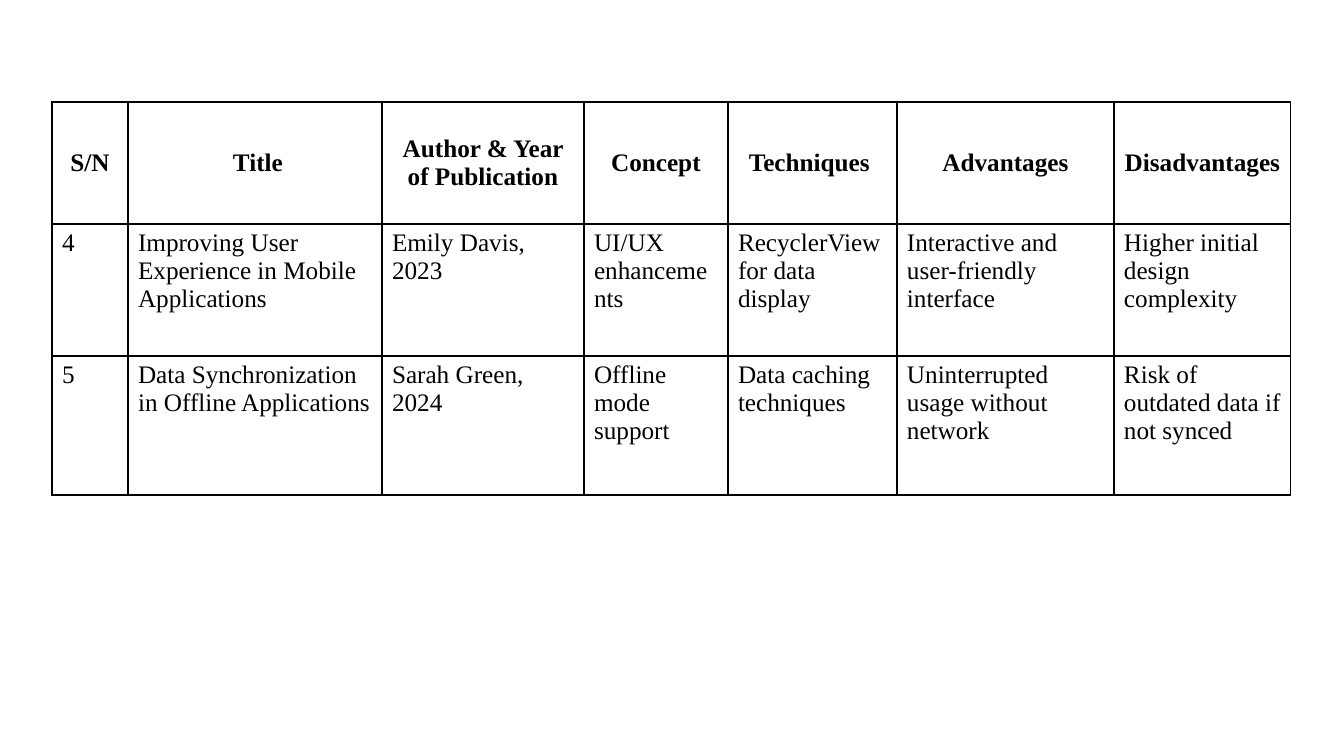
from lxml.etree import SubElement
from pptx import Presentation
from pptx.dml.color import RGBColor
from pptx.enum.text import MSO_ANCHOR, PP_ALIGN
from pptx.oxml.ns import qn
from pptx.util import Emu, Pt

HEADERS = ["S/N", " Title", "Author & Year of Publication", "Concept",
           "Techniques ", "Advantages", "Disadvantages"]
STUDIES = [
    ["4", "Improving User Experience in Mobile Applications", "Emily Davis, 2023",
     "UI/UX enhancements", "RecyclerView for data display",
     "Interactive and user-friendly interface", "Higher initial design complexity"],
    ["5", "Data Synchronization in Offline Applications", "Sarah Green, 2024",
     "Offline mode support", "Data caching techniques",
     "Uninterrupted usage without network", "Risk of outdated data if not synced"],
]
COL_WIDTHS = [76, 254, 202, 144, 169, 217, 177]
ROW_HEIGHTS = [122, 132, 139]


def px(n):
    return Emu(round(n * 12192000 / 1344))


def color(value):
    return RGBColor.from_string(value)


class SlideBuilder:
    """Holds the text style and the current slide, and adds elements to it."""

    font = "Times New Roman"
    size = Pt(18)
    ink = "000000"
    paper = "FFFFFF"

    def __init__(self, slide):
        self.slide = slide

    def table(self, x, y, widths, heights, rows):
        frame = self.slide.shapes.add_table(
            len(rows), len(widths), px(x), px(y), px(sum(widths)), px(sum(heights)))
        table = frame.table
        table.horz_banding = False
        for col, width in zip(table.columns, widths):
            col.width = px(width)
        for row, height in zip(table.rows, heights):
            row.height = px(height)
        for i, texts in enumerate(rows):
            for j, text in enumerate(texts):
                self.cell(table.cell(i, j), text, header=i == 0)

    def cell(self, cell, text, header):
        self.borders(cell)
        cell.fill.solid()
        cell.fill.fore_color.rgb = color(self.paper)
        cell.vertical_anchor = MSO_ANCHOR.MIDDLE if header else MSO_ANCHOR.TOP
        p = cell.text_frame.paragraphs[0]
        p.alignment = PP_ALIGN.CENTER if header else PP_ALIGN.LEFT
        r = p.add_run()
        r.text = text
        r.font.name = self.font
        r.font.size = self.size
        r.font.bold = header
        r.font.color.rgb = color(self.ink)

    def borders(self, cell):
        tc_pr = cell._tc.get_or_add_tcPr()
        for side in ("L", "R", "T", "B"):
            ln = SubElement(tc_pr, qn(f"a:ln{side}"), w=str(Pt(1)))
            fill = SubElement(ln, qn("a:solidFill"))
            SubElement(fill, qn("a:srgbClr"), val=self.ink)


def main():
    prs = Presentation()
    prs.slide_width, prs.slide_height = px(1344), px(756)
    s = SlideBuilder(prs.slides.add_slide(prs.slide_layouts[6]))
    s.table(52, 102, COL_WIDTHS, ROW_HEIGHTS, [HEADERS, *STUDIES])
    prs.save("out.pptx")


if __name__ == "__main__":
    main()
